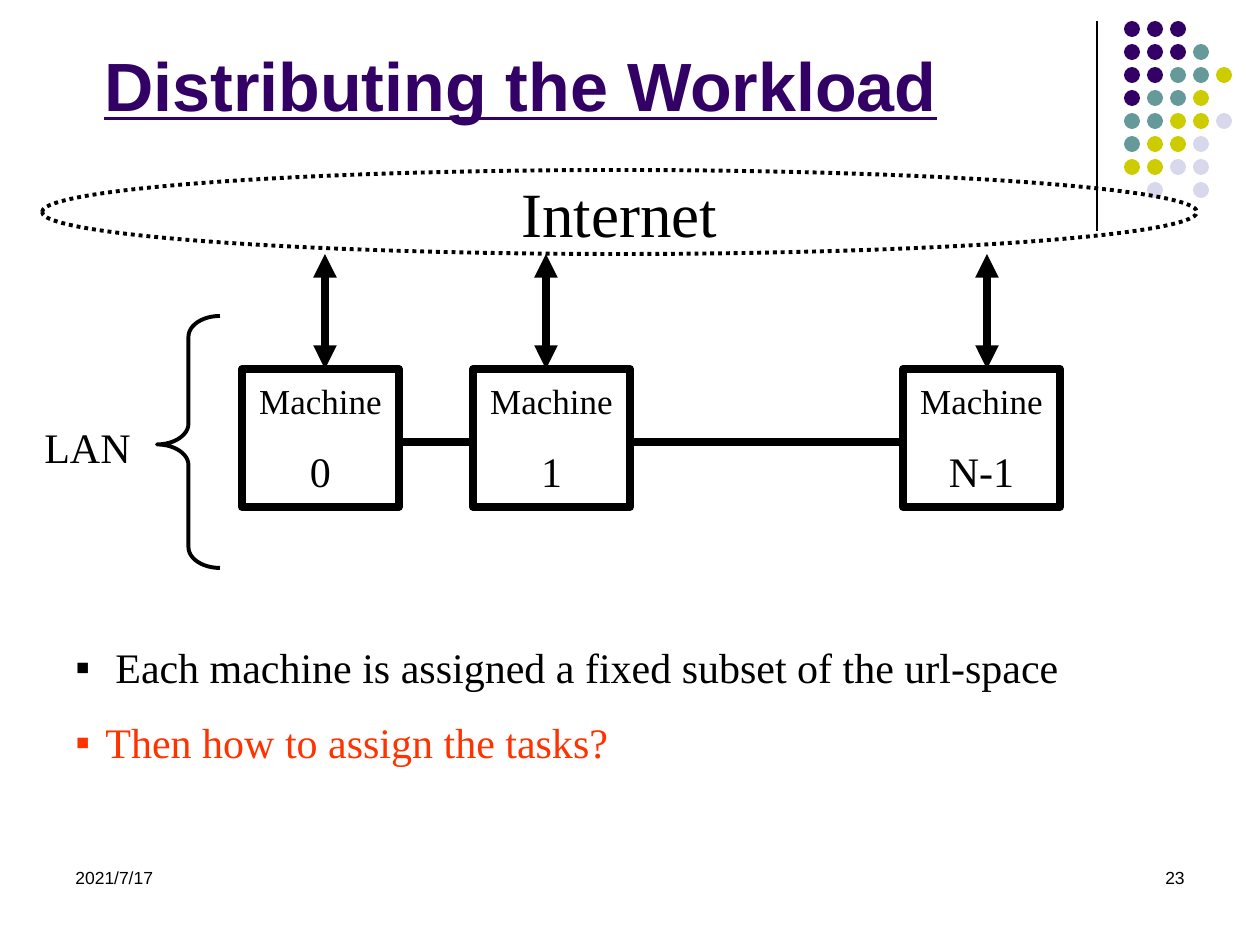
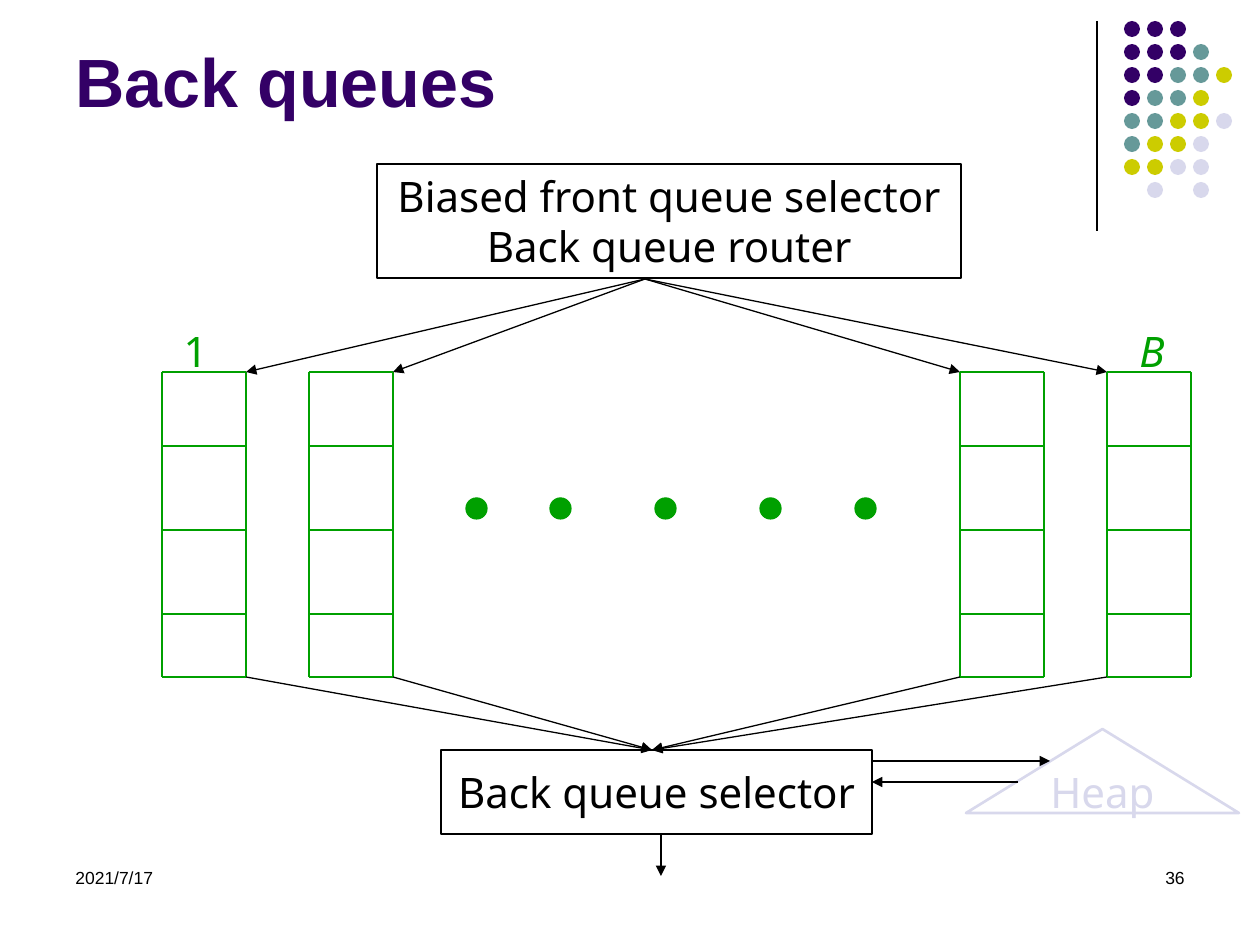
from lxml.etree import SubElement as Sub
from pptx import Presentation
from pptx.dml.color import RGBColor as Rgb
from pptx.enum.dml import MSO_LINE as Dash
from pptx.enum.shapes import MSO_CONNECTOR as Conn, MSO_SHAPE as Geo
from pptx.enum.text import MSO_ANCHOR as Anchor, PP_ALIGN as Align
from pptx.oxml.ns import qn
from pptx.util import Emu, Pt

SCALE = 914400 / 126
INK = {
    "black": "000000", "plum": "330066", "teal": "669999", "olive": "CCCC00",
    "mist": "D8D8EC", "red": "FF3300", "green": "00A000",
}
SERIF, SANS, NOTO = "Times New Roman", "Arial", "Noto Sans"
DOTS = ["ppp", "pppt", "pptto", "ptto", "ttoom", "toom", "oomm", " m m"]
DOT_INK = {"p": "plum", "t": "teal", "o": "olive", "m": "mist"}


def px(n):
    return Emu(round(n * SCALE))


class Deck:
    """Holds the shared style and the slide being drawn."""

    def __init__(self):
        self.prs = Presentation()
        self.prs.slide_width, self.prs.slide_height = px(1260), px(945)
        self.slide = None

    def page(self, number):
        """Start a slide with its rule, dot motif and footer."""
        self.slide = self.prs.slides.add_slide(self.prs.slide_layouts[6])
        self.line((1097, 21), (1097, 231))
        for row, marks in enumerate(DOTS):
            for col, mark in enumerate(marks):
                if mark in DOT_INK:
                    self.dot(1124 + 23 * col, 21 + 23 * row, 16, DOT_INK[mark])
        self.text((63, 861, 294, 63), "2021/7/17", 10, SANS)
        self.text((903, 861, 294, 63), number, 10, SANS, align=Align.RIGHT)

    def title(self, box, words, under=False):
        shape = self.text(box, words, 39, SANS, "plum", anchor=Anchor.BOTTOM)
        font = shape.text_frame.paragraphs[0].runs[0].font
        font.bold, font.underline = True, under

    def fill_in(self, shape, words, size, face, ink="black", align=Align.LEFT,
                anchor=Anchor.TOP, wrap=True, top=6):
        """Put styled text into a shape."""
        frame = shape.text_frame
        frame.text = words
        frame.word_wrap, frame.vertical_anchor = wrap, anchor
        frame.margin_top = px(top)
        for para in frame.paragraphs:
            para.alignment = align
            for run in para.runs:
                self.tint(run.font, size, face, ink)
        return shape

    def tint(self, font, size, face, ink):
        font.size, font.name = Pt(size), face
        font.color.rgb = Rgb.from_string(INK[ink])

    def text(self, box, words, size, face, ink="black", **opts):
        shape = self.slide.shapes.add_textbox(*map(px, box))
        return self.fill_in(shape, words, size, face, ink, **opts)

    def shape(self, kind, box, width=0.75, ink="black", fill=None):
        shape = self.slide.shapes.add_shape(kind, *map(px, box))
        shape.shadow.inherit = False
        if fill:
            shape.fill.solid()
            shape.fill.fore_color.rgb = Rgb.from_string(INK[fill])
        else:
            shape.fill.background()
        if width:
            shape.line.width = Pt(width)
            shape.line.color.rgb = Rgb.from_string(INK[ink])
        else:
            shape.line.fill.background()
        return shape

    def label(self, shape, words, size, face, ink="black"):
        """Centre unwrapped text in a shape."""
        self.fill_in(shape, words, size, face, ink, Align.CENTER, Anchor.MIDDLE, False)

    def dot(self, x, y, size, ink, width=0):
        self.shape(Geo.OVAL, (x, y, size, size), width, ink, ink)

    def line(self, start, end, width=0.75, ink="black", ends=()):
        """Draw a line; ends lists which of head and tail carry arrows."""
        link = self.slide.shapes.add_connector(
            Conn.STRAIGHT, *map(px, (*start, *end)))
        link.line.width = Pt(width)
        link.line.color.rgb = Rgb.from_string(INK[ink])
        props = link._element.spPr
        for side in ends:
            Sub(props.find(qn("a:ln")), qn(f"a:{side}End"), type="triangle")
        Sub(props, qn("a:effectLst"))

    def arrow(self, start, end):
        self.line(start, end, ends=["tail"])

    def node(self, box, name):
        """Draw a machine with its index under the word."""
        shape = self.shape(Geo.RECTANGLE, box, 4.5)
        self.fill_in(shape, f"Machine\n{name}", 20, SERIF, align=Align.CENTER, top=10)
        index = shape.text_frame.paragraphs[1]
        index.space_before = Pt(14)
        index.runs[0].font.size = Pt(24)

    def list(self, box, items):
        """Set bullets from (words, ink, indent) items."""
        frame = self.text(box, "", 24, SERIF, top=11).text_frame
        for i, (words, ink, dent) in enumerate(items):
            para = frame.add_paragraph() if i else frame.paragraphs[0]
            para.text = words
            props = para._p.get_or_add_pPr()
            props.set("marL", str(px(dent)))
            props.set("indent", str(-px(dent)))
            if i:
                para.space_before = Pt(14)
            Sub(props, qn("a:buFont"), typeface=SANS)
            Sub(props, qn("a:buChar"), char="▪")
            self.tint(para.runs[0].font, 24, SERIF, ink)

    def queue(self, left, right, rows):
        for x in (left, right):
            self.line((x, rows[0]), (x, rows[-1]), ink="green")
        for y in rows:
            self.line((left, y), (right, y), ink="green")


def workload(deck):
    deck.page("23")
    cloud = deck.shape(Geo.OVAL, (42, 170, 1155, 84), 2.25)
    cloud.line.dash_style = Dash.ROUND_DOT
    deck.label(cloud, "Internet", 36, SERIF)

    top, wide, high = 369, 157, 138
    nodes = [(242, 325, "0"), (473, 546, "1"), (903, 987, "N-1")]
    for left, port, name in nodes:
        deck.node((left, top, wide, high), name)
        deck.line((port, 254), (port, top), 4.5, ends=["head", "tail"])
    for (left, *_), (right, *_) in zip(nodes, nodes[1:]):
        deck.line((left + wide, 442), (right, 442), 4.5)

    brace = deck.shape(Geo.LEFT_BRACE, (157, 316, 63, 252), 2.25)
    brace.adjustments[0], brace.adjustments[1] = 0.33, 0.51
    deck.text((32, 411, 116, 63), "LAN", 24, SERIF, top=11)
    deck.title((92, 35, 982, 96), "Distributing the Workload", True)
    deck.list((63, 631, 1113, 214), [
        ("Each machine is assigned a fixed subset of the url-space", "black", 40),
        ("Then how to assign the tasks?", "red", 30),
    ])


def queues(deck):
    deck.page("36")
    deck.title((63, 0, 1040, 127), "Back queues")
    router = deck.shape(Geo.RECTANGLE, (377, 164, 584, 114))
    deck.label(router, "Biased front queue selector\nBack queue router", 24, NOTO)
    picker = deck.shape(Geo.RECTANGLE, (441, 750, 431, 84))
    deck.label(picker, "Back queue selector", 24, NOTO)
    deck.arrow((661, 834), (661, 876))

    rows, wide = [372, 446, 530, 614, 677], 84
    for left, port in [(162, 246), (309, 393), (960, 960), (1107, 1107)]:
        deck.queue(left, left + wide, rows)
        deck.arrow((645, 279), (port, rows[0]))
        deck.arrow((port, rows[-1]), (652, 750))
    for x in (466, 550, 655, 760, 855):
        deck.dot(x, 498, 21, "green", 0.75)
    for x, name in [(169, "1"), (1126, "B")]:
        tag = deck.text((x, 320, 51, 63), name, 24, NOTO, "green",
                        align=Align.RIGHT, wrap=False)
        tag.text_frame.paragraphs[0].runs[0].font.italic = name == "B"

    heap = deck.shape(Geo.ISOSCELES_TRIANGLE, (966, 729, 273, 84), 1.5, "mist")
    deck.label(heap, "Heap", 24, NOTO, "mist")
    deck.arrow((872, 761), (1050, 761))
    deck.arrow((1018, 782), (872, 782))


def main():
    deck = Deck()
    workload(deck)
    queues(deck)
    deck.prs.save("out.pptx")


if __name__ == "__main__":
    main()
